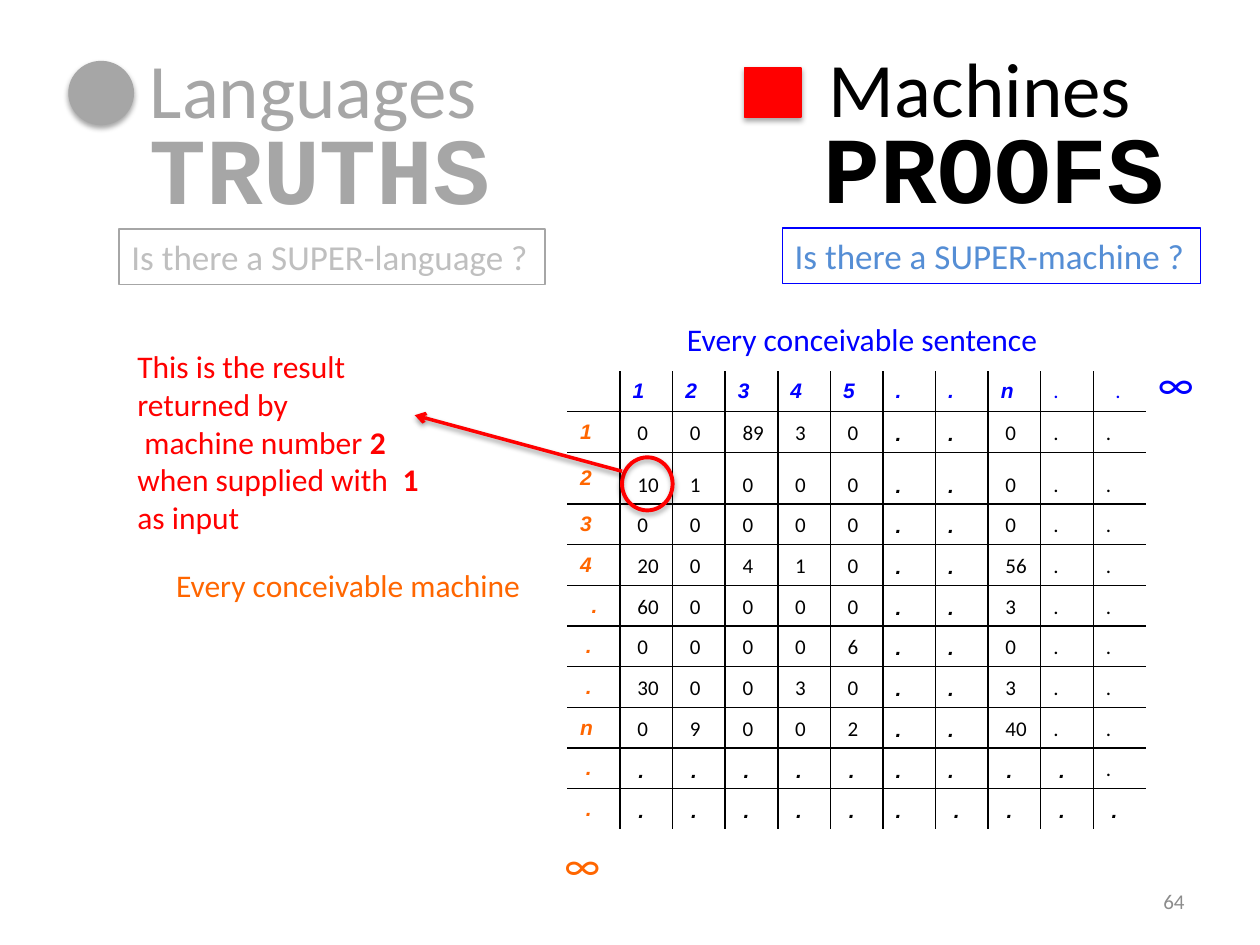
from lxml import etree
from pptx import Presentation
from pptx import util as u
from pptx.dml import color
from pptx.enum import shapes, text
from pptx.oxml import ns

BLACK, WHITE, BLUE, ORANGE, RED, GREY = "000000", "FFFFFF", "0000FF", "FF6600", "FF0000", "A6A6A6"
RESULTS = [
    "|1|2|3|4|5|.|.|n|.|  .",
    "1| 0| 0| 89| 3| 0|.|.| 0|.|.",
    "2| 10| 1| 0| 0| 0|.|.| 0|.|.",
    "3| 0| 0| 0| 0| 0|.|.| 0|.|.",
    "4| 20| 0| 4| 1| 0|.|.| 56|.|.",
    "  .| 60| 0| 0| 0| 0|.|.| 3|.|.",
    " .| 0| 0| 0| 0| 6|.|.| 0|.|.",
    " .| 30| 0| 0| 3| 0|.|.| 3|.|.",
    "n| 0| 9| 0| 0| 2|.|.| 40|.|.",
    " .| .| .| .| .| .|.|.| .| .|.",
    " .| .| .| .| .| .|.| .| .| .| .",
]


def rgb(value):
    return color.RGBColor.from_string(value)


def child(parent, tag, **attributes):
    return etree.SubElement(parent, ns.qn(tag), attributes)


def style(paragraph, size, hue, face="Calibri", bold=False, italic=False):
    font = paragraph.font
    font.size, font.name, font.bold, font.italic = u.Pt(size), face, bold, italic
    font.color.rgb = rgb(hue)


def outline(shape, hue, width):
    shape.line.color.rgb = rgb(hue)
    shape.line.width = u.Pt(width)


def cast_shadow(shape, opacity, distance):
    effects = child(shape._element.spPr, "a:effectLst")
    shadow = child(effects, "a:outerShdw", blurRad=str(u.Pt(3.1)), dist=str(u.Pt(distance)),
                   dir="5400000", rotWithShape="0")
    child(child(shadow, "a:srgbClr", val=BLACK), "a:alpha", val=str(opacity * 1000))


def label(slide, box, words, size, hue, wrap=True, **look):
    caption = slide.shapes.add_textbox(*map(u.Cm, box))
    caption.text_frame.word_wrap = wrap
    paragraph = caption.text_frame.paragraphs[0]
    paragraph.text = words
    style(paragraph, size, hue, **look)
    return caption


def add_heading(slide, box, marker, title, word, question, hue):
    left, top, title_x, title_width, word_x, question_x, question_width = box
    kind, marker_y, width, height, marker_hue = marker
    symbol = slide.shapes.add_shape(kind, u.Cm(left), u.Cm(top + marker_y), u.Cm(width), u.Cm(height))
    symbol.fill.solid()
    symbol.fill.fore_color.rgb = rgb(marker_hue)
    outline(symbol, marker_hue, 0.75)
    cast_shadow(symbol, 35, 1.8)
    label(slide, (left + title_x, top, title_width, 2.13), title, 44, hue, wrap=False)
    label(slide, (left + word_x, top + 1.39, 7.44, 2.57), word, 54, hue,
          wrap=False, face="Courier New", bold=True)
    words, question_hue, frame_hue = question
    frame = label(slide, (left + question_x, top + 3.91, question_width, 1.12),
                  words, 20, question_hue, wrap=False)
    outline(frame, frame_hue, 0.75)


def rule_cell(cell, row, column, last):
    properties = cell._tc.get_or_add_tcPr()
    sides = [("a:lnL", column > 0), ("a:lnR", column < last), ("a:lnT", row > 0), ("a:lnB", row < last)]
    for index, (side, inner) in enumerate(sides):
        line = etree.Element(ns.qn(side), w=str(u.Pt(1)))
        if inner:
            child(child(line, "a:solidFill"), "a:srgbClr", val=BLACK)
        else:
            child(line, "a:noFill")
        properties.insert(index, line)


def is_plain(row, column, words):
    if column == 0:
        return False
    trailing = column >= 9 and (row < 9 or (row, column) == (9, 10))
    return trailing or (row > 0 and words.strip().isdigit())


def add_results(slide, left, top):
    count = len(RESULTS)
    step, normal, tall = 1.06, 0.82, 1.04
    grid = slide.shapes.add_table(count, count, u.Cm(left), u.Cm(top), u.Cm(step * count),
                                  u.Cm(normal * (count - 1) + tall)).table
    grid.first_row = grid.horz_banding = False
    for index in range(count):
        grid.columns[index].width = u.Cm(step)
        grid.rows[index].height = u.Cm(tall if index == 2 else normal)
    for row, line in enumerate(RESULTS):
        for column, words in enumerate(line.split("|")):
            cell = grid.cell(row, column)
            cell.fill.solid()
            cell.fill.fore_color.rgb = rgb(WHITE)
            rule_cell(cell, row, column, count - 1)
            inner = row > 0 and column > 0
            cell.vertical_anchor = text.MSO_ANCHOR.BOTTOM if inner else text.MSO_ANCHOR.MIDDLE
            hue = BLACK if inner else ORANGE if row else BLUE
            plain = is_plain(row, column, words)
            paragraph = cell.text_frame.paragraphs[0]
            if words:
                paragraph.text = words
            else:
                cell.margin_top = cell.margin_bottom = 0
            style(paragraph, 12, hue, "Calibri" if plain else "Arial", not plain, not plain)


def add_axes(slide, left, top):
    label(slide, (left + 2.16, top - 1.15, 12, 1.02), "Every conceivable sentence", 18, BLUE)
    label(slide, (left - 8.14, top + 3.81, 9.55, 1.02), "Every conceivable machine", 18, ORANGE)
    label(slide, (left + 11.65, top - 0.39, 1.73, 1.27), "∞", 24, BLUE)
    label(slide, (left - 0.31, top + 9.3, 1.73, 1.27), "∞", 24, ORANGE)


def add_callout(slide, left, top):
    ring = slide.shapes.add_shape(shapes.MSO_SHAPE.OVAL, u.Cm(left + 10.02), u.Cm(top + 2.35),
                                  u.Cm(1.02), u.Cm(1.07))
    ring.fill.background()
    outline(ring, RED, 2.25)
    cast_shadow(ring, 35, 1.8)
    arrow = slide.shapes.add_connector(shapes.MSO_CONNECTOR.STRAIGHT, u.Cm(left + 5.84), u.Cm(top + 1.5),
                                       u.Cm(left + 10.02), u.Cm(top + 2.63))
    outline(arrow, RED, 2)
    child(arrow.line._get_or_add_ln(), "a:headEnd", type="arrow")
    cast_shadow(arrow, 38, 1.6)
    note = label(slide, (left, top, 6.73, 4.11), "This is the result returned by", 18, RED)
    detail = note.text_frame.add_paragraph()
    style(detail, 18, RED)
    for index, words in enumerate([" machine number ", "2", "  when supplied with  ", "1", " as input"]):
        run = detail.add_run()
        run.text = words
        run.font.bold = index % 2 == 1


def add_page_number(slide, left, top):
    number = label(slide, (left, top, 5.92, 1.02), "64", 12, "8C8C8C")
    number.text_frame.vertical_anchor = text.MSO_ANCHOR.MIDDLE
    number.text_frame.paragraphs[0].alignment = text.PP_ALIGN.RIGHT


def main():
    deck = Presentation()
    deck.slide_width, deck.slide_height = u.Cm(25.4), u.Cm(19.05)
    slide = deck.slides.add_slide(deck.slide_layouts[6])
    add_results(slide, 11.44, 7.48)
    add_axes(slide, 11.44, 7.48)
    add_callout(slide, 2.52, 6.87)
    add_page_number(slide, 18.21, 17.65)
    add_heading(slide, (1.39, 0.71, 1.38, 7.2, 1.38, 1.01, 8.59),
                (shapes.MSO_SHAPE.OVAL, 0.53, 1.3, 1.27, GREY), "Languages", "TRUTHS",
                ("Is there a SUPER-language ?", "BFBFBF", GREY), GREY)
    add_heading(slide, (15.01, 0.69, 1.45, 6.8, 1.35, 0.76, 8.43),
                (shapes.MSO_SHAPE.RECTANGLE, 0.68, 1.14, 0.99, RED), "Machines", "PROOFS",
                ("Is there a SUPER-machine ?", "558ED5", BLUE), BLACK)
    deck.save("out.pptx")


if __name__ == "__main__":
    main()
